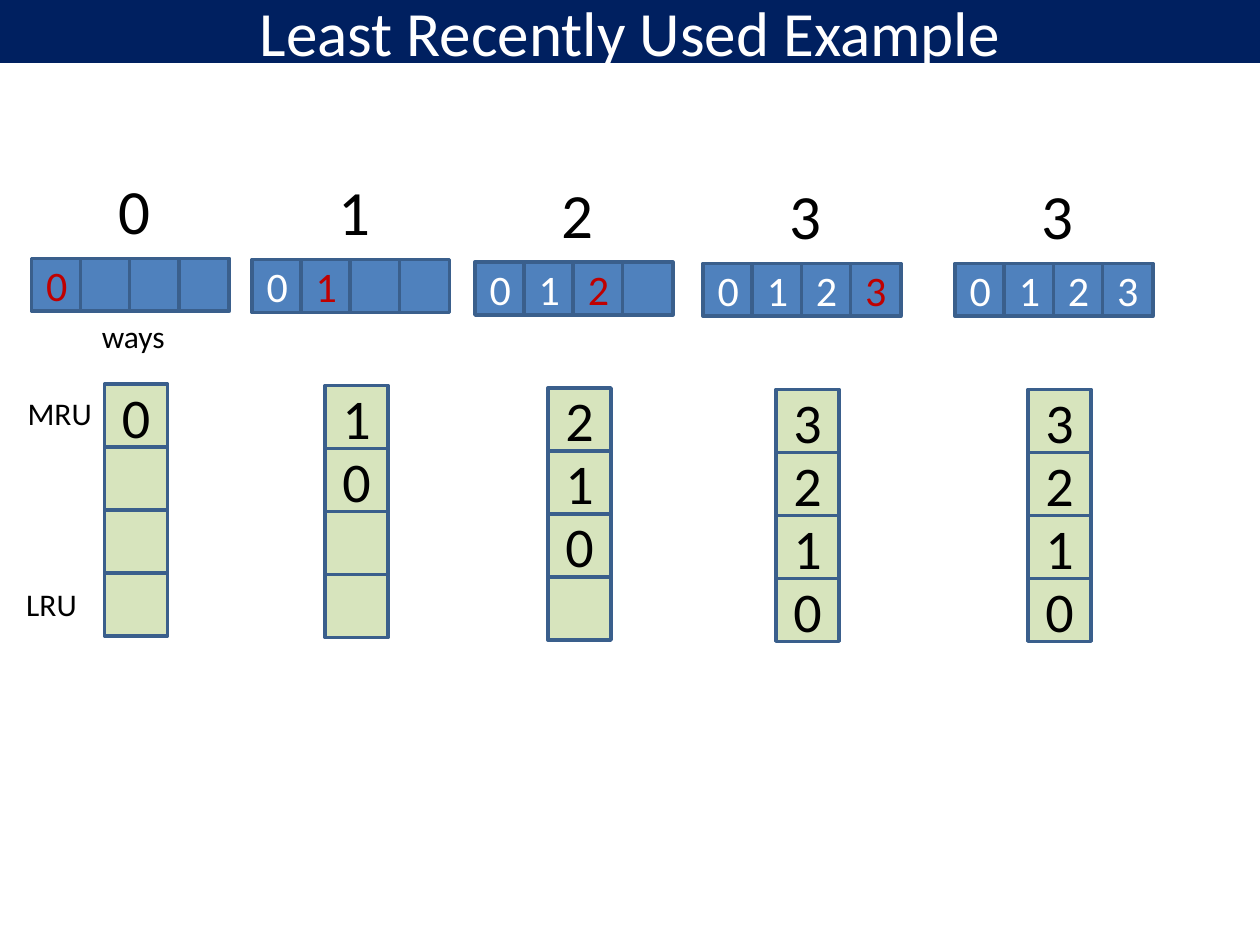
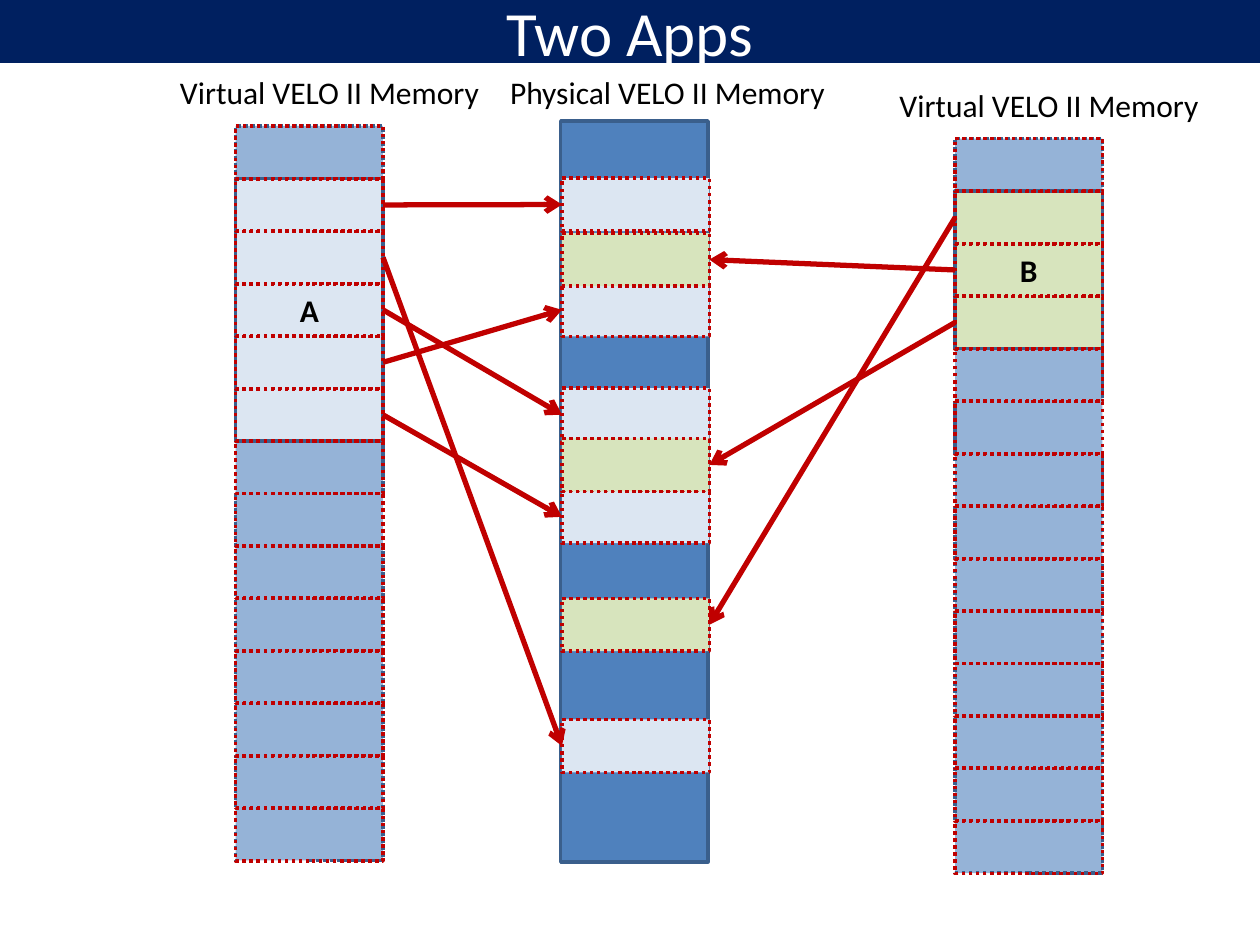
from dataclasses import dataclass

import pptx
import pptx.dml.color
import pptx.enum.dml
import pptx.enum.shapes
import pptx.enum.text
import pptx.oxml.ns
import pptx.util
from lxml import etree

COLUMNS, ROWS = 10, 7.5
UNIT = pptx.util.Inches(1)  # one grid column is as wide as one row is high


@dataclass(frozen=True)
class Theme:
    font: str = "Calibri"
    navy: str = "002060"
    white: str = "FFFFFF"
    black: str = "000000"
    red: str = "C00000"
    blue: str = "4F81BD"
    outline: str = "3A5F8C"
    mid_blue: str = "95B3D7"
    pale_blue: str = "DCE6F2"
    green: str = "D7E4BD"
    heading: int = 36
    stack: int = 32
    way: int = 24
    label: int = 18
    border: int = 2
    arrow: int = 3


THEME = Theme()


@dataclass(frozen=True)
class Box:
    """An area in grid columns and rows."""
    left: float
    top: float
    width: float
    height: float

    def inner(self, left, top, width, height):
        return Box(self.left + left, self.top + top, width, height)

    def emu(self):
        return [round(n * UNIT) for n in (self.left, self.top, self.width, self.height)]


# Shared building blocks

def rgb(colour):
    return pptx.dml.color.RGBColor.from_string(colour)


def write(shape, text, size, colour, bold=False, centred=True):
    shape.text_frame.text = text
    paragraph = shape.text_frame.paragraphs[0]
    align = pptx.enum.text.PP_ALIGN
    paragraph.alignment = align.CENTER if centred else align.LEFT
    paragraph.font.name = THEME.font
    paragraph.font.size = pptx.util.Pt(size)
    paragraph.font.bold = bold
    paragraph.font.color.rgb = rgb(colour)


def add_block(shapes, box, fill=None, line=THEME.outline, dotted=False):
    block = shapes.add_shape(pptx.enum.shapes.MSO_SHAPE.RECTANGLE, *box.emu())
    block.shadow.inherit = False
    if fill:
        block.fill.solid()
        block.fill.fore_color.rgb = rgb(fill)
    else:
        block.fill.background()
    block.line.color.rgb = rgb(line)
    block.line.width = pptx.util.Pt(THEME.border)
    if dotted:
        block.line.dash_style = pptx.enum.dml.MSO_LINE.ROUND_DOT
    block.text_frame.vertical_anchor = pptx.enum.text.MSO_ANCHOR.MIDDLE
    return block


def add_label(shapes, box, text, size=THEME.label):
    label = shapes.add_textbox(*box.emu())
    label.text_frame.word_wrap = False
    label.text_frame.auto_size = pptx.enum.text.MSO_AUTO_SIZE.SHAPE_TO_FIT_TEXT
    write(label, text, size, THEME.black, centred=False)


def add_arrow(shapes, start, start_side, end, end_side):
    arrow = shapes.add_connector(pptx.enum.shapes.MSO_CONNECTOR.STRAIGHT, 0, 0, 0, 0)
    arrow.begin_connect(start, start_side)
    arrow.end_connect(end, end_side)
    arrow.line.color.rgb = rgb(THEME.red)
    arrow.line.width = pptx.util.Pt(THEME.arrow)
    qn = pptx.oxml.ns.qn
    etree.SubElement(arrow.line._get_or_add_ln(), qn("a:tailEnd"), type="arrow")
    etree.SubElement(arrow._element.spPr, qn("a:effectLst"))


def add_titled_slide(deck, title):
    slide = deck.slides.add_slide(deck.slide_layouts[5])
    band = slide.shapes.title
    band.left, band.top, band.width, band.height = Box(0, 0, COLUMNS, 0.5).emu()
    band.fill.solid()
    band.fill.fore_color.rgb = rgb(THEME.navy)
    band.text_frame.auto_size = pptx.enum.text.MSO_AUTO_SIZE.NONE
    band.text_frame.vertical_anchor = pptx.enum.text.MSO_ANCHOR.MIDDLE
    write(band, title, THEME.heading, THEME.white)
    return slide


# Least recently used: one access, its cache ways and its recency stack

WAY_COUNT = 4
WAY_PITCH, STACK_PITCH = 0.39, 0.5


def add_access(slide, box, accessed, ways, recency, is_miss):
    shapes = slide.shapes.add_group_shape().shapes
    for i in range(WAY_COUNT):
        entry = add_block(shapes, box.inner(0.58, 1.74 + i * STACK_PITCH, 0.5, 0.5),
                          THEME.green)
        if i < len(recency):
            write(entry, recency[i], THEME.stack, THEME.black)
    add_label(shapes, box.inner(0.59, 0, 0.46, 0.71), accessed, THEME.heading)
    for i in range(WAY_COUNT):
        way = add_block(shapes, box.inner(i * WAY_PITCH, 0.74, 0.4, 0.42), THEME.blue)
        if i < len(ways):
            loaded = is_miss and ways[i] == accessed
            write(way, ways[i], THEME.way, THEME.red if loaded else THEME.white)


def build_lru_slide(deck):
    slide = add_titled_slide(deck, "Least Recently Used Example")
    positions = [(0.25, 1.31), (2, 1.32), (3.77, 1.34), (5.58, 1.35), (7.58, 1.35)]
    ways, recency = [], []
    for (left, top), accessed in zip(positions, "01233"):
        is_miss = accessed not in ways
        if is_miss:
            ways.append(accessed)
        recency = [accessed] + [way for way in recency if way != accessed]
        add_access(slide, Box(left, top, 1.58, 3.73), accessed, ways, recency, is_miss)

    add_label(slide.shapes, Box(0.12, 3.08, 0.72, 0.4), "MRU")
    add_label(slide.shapes, Box(0.11, 4.59, 0.61, 0.4), "LRU")
    add_label(slide.shapes, Box(0.71, 2.47, 0.71, 0.4), "ways")


# Two apps: virtual pages mapped to physical frames

PROCESSOR = "VELO II"
PAGE_COUNT = 14
PAGE_HEIGHT = 0.42
LEFT_SIDE, RIGHT_SIDE = 1, 3


def add_virtual_memory(slide, box, app, app_pages, app_fill):
    """Draw a virtual memory and return the pages the app uses."""
    shapes = slide.shapes
    pitch = box.height / PAGE_COUNT
    add_block(shapes, box, THEME.mid_blue, dotted=True)
    app_block = add_block(
        shapes, box.inner(0, pitch, box.width, app_pages * pitch), app_fill)
    write(app_block, app, THEME.label, THEME.black, bold=True)
    add_label(shapes, box.inner(-0.54, -0.47, 2.58, 0.4), f"Virtual {PROCESSOR} Memory")
    pages = [add_block(shapes, box.inner(0, i * pitch, box.width, PAGE_HEIGHT),
                       line=THEME.red, dotted=True)
             for i in range(PAGE_COUNT)]
    return pages[1:app_pages + 1]


def add_physical_memory(slide, box, frame_rows):
    """Draw the physical memory and return each app's frames in page order."""
    shapes = slide.shapes
    add_block(shapes, box, THEME.blue)
    add_label(shapes, box.inner(-0.5, -0.43, 2.7, 0.4), f"Physical {PROCESSOR} Memory")
    return {
        fill: [add_block(shapes, box.inner(0.01, row * PAGE_HEIGHT, box.width, PAGE_HEIGHT),
                         fill, THEME.red, dotted=True) for row in rows]
        for fill, rows in frame_rows.items()
    }


def build_two_apps_slide(deck):
    slide = add_titled_slide(deck, "Two Apps")
    pages_a = add_virtual_memory(slide, Box(1.87, 1, 1.17, 5.83), "A", 5, THEME.pale_blue)
    pages_b = add_virtual_memory(slide, Box(7.58, 1.1, 1.17, 5.83), "B", 3, THEME.green)
    frames = add_physical_memory(slide, Box(4.45, 0.96, 1.17, 5.88), {
        THEME.pale_blue: [1.08, 11.31, 5.05, 3.07, 6.98],
        THEME.green: [9.02, 2.12, 6],
    })
    for page, frame in zip(pages_a, frames[THEME.pale_blue]):
        add_arrow(slide.shapes, page, RIGHT_SIDE, frame, LEFT_SIDE)
    for page, frame in zip(pages_b, frames[THEME.green]):
        add_arrow(slide.shapes, page, LEFT_SIDE, frame, RIGHT_SIDE)


def main():
    deck = pptx.Presentation()
    deck.slide_width, deck.slide_height = COLUMNS * UNIT, round(ROWS * UNIT)
    build_lru_slide(deck)
    build_two_apps_slide(deck)
    deck.save("out.pptx")


if __name__ == "__main__":
    main()
